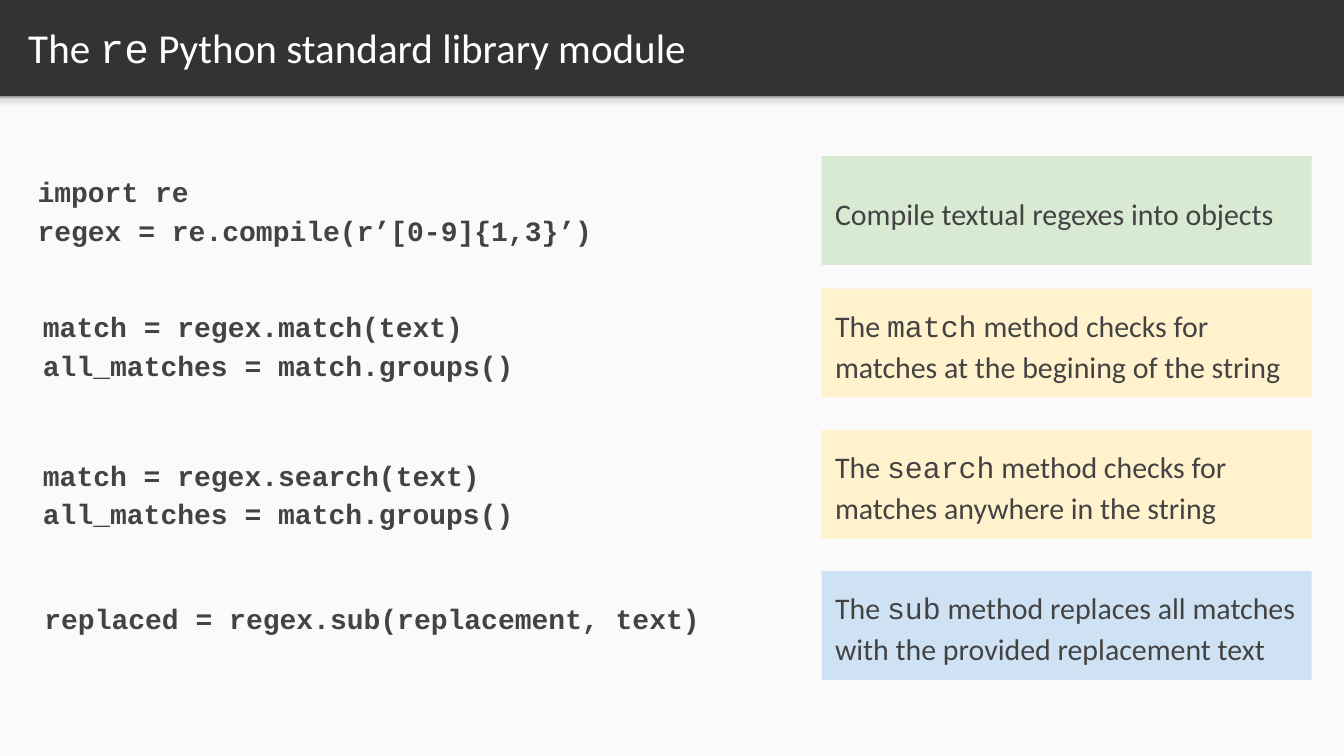
"""Build the slide about the re module of the Python standard library."""
import copy
from dataclasses import dataclass

import pptx
import pptx.dml.color
import pptx.enum.shapes
import pptx.enum.text
import pptx.shapes.autoshape
import pptx.shapes.base
import pptx.slide
import pptx.util

RGBColor = pptx.dml.color.RGBColor
Anchor = pptx.enum.text.MSO_ANCHOR

EMU_PER_PX = 9144
SLIDE_WIDTH, SLIDE_HEIGHT = 1999, 1124
HEADER_HEIGHT = 144
NOTE_LEFT, NOTE_WIDTH, NOTE_HEIGHT = 1222, 729, 162
TITLE_ONLY_LAYOUT = 5

DARK = RGBColor(0x33, 0x33, 0x33)
PAPER = RGBColor(0xFA, 0xFA, 0xFA)
WHITE = RGBColor(0xFF, 0xFF, 0xFF)
TEXT = RGBColor(0x43, 0x43, 0x43)
GREEN = RGBColor(0xD9, 0xEA, 0xD3)
YELLOW = RGBColor(0xFF, 0xF2, 0xCC)
BLUE = RGBColor(0xCF, 0xE2, 0xF3)
SHADE_STOPS = [
    (0.0, RGBColor(0xF9, 0xF9, 0xF9)),
    (0.36, RGBColor(0xF9, 0xF9, 0xF9)),
    (0.8, RGBColor(0xDE, 0xDE, 0xDE)),
    (1.0, RGBColor(0x99, 0x99, 0x99)),
]

PROSE_FONT = "Calibri"
CODE_FONT = "Courier New"


@dataclass(frozen=True)
class Box:
    """Position and size in px."""

    left: int
    top: int
    width: int
    height: int

    def emu(self) -> list[int]:
        """Return left, top, width and height in EMU."""
        return [px(value) for value in (self.left, self.top, self.width, self.height)]


@dataclass(frozen=True)
class Note:
    """A coloured explanation, with code words between backticks."""

    top: int
    fill: RGBColor
    text: str


@dataclass(frozen=True)
class Snippet:
    """A block of code lines."""

    box: Box
    text: str
    inset: int = 10
    anchor: Anchor = Anchor.MIDDLE


NOTES = [
    Note(232, GREEN, "Compile textual regexes into objects"),
    Note(429, YELLOW, "The `match` method checks for matches at the begining of the string"),
    Note(639, YELLOW, "The `search` method checks for matches anywhere in the string"),
    Note(849, BLUE, "The `sub` method replaces all matches with the provided replacement text"),
]

SNIPPETS = [
    Snippet(Box(46, 229, 1106, 162), "import re\nregex = re.compile(r’[0-9]{1,3}’)"),
    Snippet(Box(54, 429, 1152, 162), "match = regex.match(text)\nall_matches = match.groups()"),
    Snippet(Box(54, 645, 1097, 172), "match = regex.search(text)\nall_matches = match.groups()"),
    Snippet(Box(46, 867, 1049, 89), "replaced = regex.sub(replacement, text)", 20, Anchor.TOP),
]


def px(value: int) -> int:
    """Turn px into EMU."""
    return value * EMU_PER_PX


def write_text(
    shape: pptx.shapes.base.BaseShape,
    text: str,
    *,
    size: int,
    color: RGBColor = TEXT,
    font: str = PROSE_FONT,
    bold: bool = False,
    inset: int = 20,
    anchor: Anchor = Anchor.MIDDLE,
    line_spacing: float = 1.15,
) -> None:
    """Fill a shape with left-aligned text, one paragraph a line."""
    frame = shape.text_frame
    frame.word_wrap = True
    frame.auto_size = pptx.enum.text.MSO_AUTO_SIZE.NONE
    frame.vertical_anchor = anchor
    frame.margin_left = frame.margin_right = px(inset)
    frame.margin_top = frame.margin_bottom = px(inset)
    for number, line in enumerate(text.split("\n")):
        paragraph = frame.add_paragraph() if number else frame.paragraphs[0]
        paragraph.alignment = pptx.enum.text.PP_ALIGN.LEFT
        paragraph.line_spacing = line_spacing
        for position, words in enumerate(line.split("`")):
            run = paragraph.add_run()
            run.text = words
            run.font.name = CODE_FONT if position % 2 else font
            run.font.size = pptx.util.Pt(size)
            run.font.bold = bold
            run.font.color.rgb = color


def add_rectangle(
    slide: pptx.slide.Slide, box: Box, fill: RGBColor
) -> pptx.shapes.autoshape.Shape:
    """Add a plain rectangle without outline or shadow."""
    shape = slide.shapes.add_shape(pptx.enum.shapes.MSO_SHAPE.RECTANGLE, *box.emu())
    shape.shadow.inherit = False
    shape.line.fill.background()
    shape.fill.solid()
    shape.fill.fore_color.rgb = fill
    return shape


def add_header_shade(slide: pptx.slide.Slide) -> None:
    """Add the soft gradient below the header."""
    shade = add_rectangle(slide, Box(0, 143, SLIDE_WIDTH, 24), PAPER)
    shade.fill.gradient()
    shade.fill.gradient_angle = 90
    stop_list = shade._element.spPr.xpath(".//a:gsLst")[0]
    for stop in list(stop_list):
        stop_list.append(copy.deepcopy(stop))
    for stop, (position, color) in zip(shade.fill.gradient_stops, SHADE_STOPS):
        stop.position = position
        stop.color.rgb = color


def add_title(slide: pptx.slide.Slide) -> None:
    """Place and format the title."""
    title = slide.shapes.title
    title.left, title.top, title.width, title.height = Box(22, 4, 1930, 132).emu()
    write_text(
        title, "The `re` Python standard library module",
        size=44, color=WHITE, line_spacing=1.0,
    )


def add_note(slide: pptx.slide.Slide, note: Note) -> None:
    """Add a coloured explanation in the right column."""
    box = Box(NOTE_LEFT, note.top, NOTE_WIDTH, NOTE_HEIGHT)
    write_text(add_rectangle(slide, box, note.fill), note.text, size=32)


def add_snippet(slide: pptx.slide.Slide, snippet: Snippet) -> None:
    """Add a block of code in the left column."""
    write_text(
        slide.shapes.add_textbox(*snippet.box.emu()), snippet.text,
        size=30, font=CODE_FONT, bold=True, inset=snippet.inset, anchor=snippet.anchor,
    )


def main() -> None:
    """Build and save the presentation."""
    presentation = pptx.Presentation()
    presentation.slide_width = px(SLIDE_WIDTH)
    presentation.slide_height = px(SLIDE_HEIGHT)
    slide = presentation.slides.add_slide(presentation.slide_layouts[TITLE_ONLY_LAYOUT])
    slide.background.fill.solid()
    slide.background.fill.fore_color.rgb = DARK
    add_rectangle(
        slide, Box(0, HEADER_HEIGHT, SLIDE_WIDTH, SLIDE_HEIGHT - HEADER_HEIGHT), PAPER
    )
    add_header_shade(slide)
    add_title(slide)
    for note in NOTES:
        add_note(slide, note)
    for snippet in SNIPPETS:
        add_snippet(slide, snippet)
    presentation.save("out.pptx")


if __name__ == "__main__":
    main()
